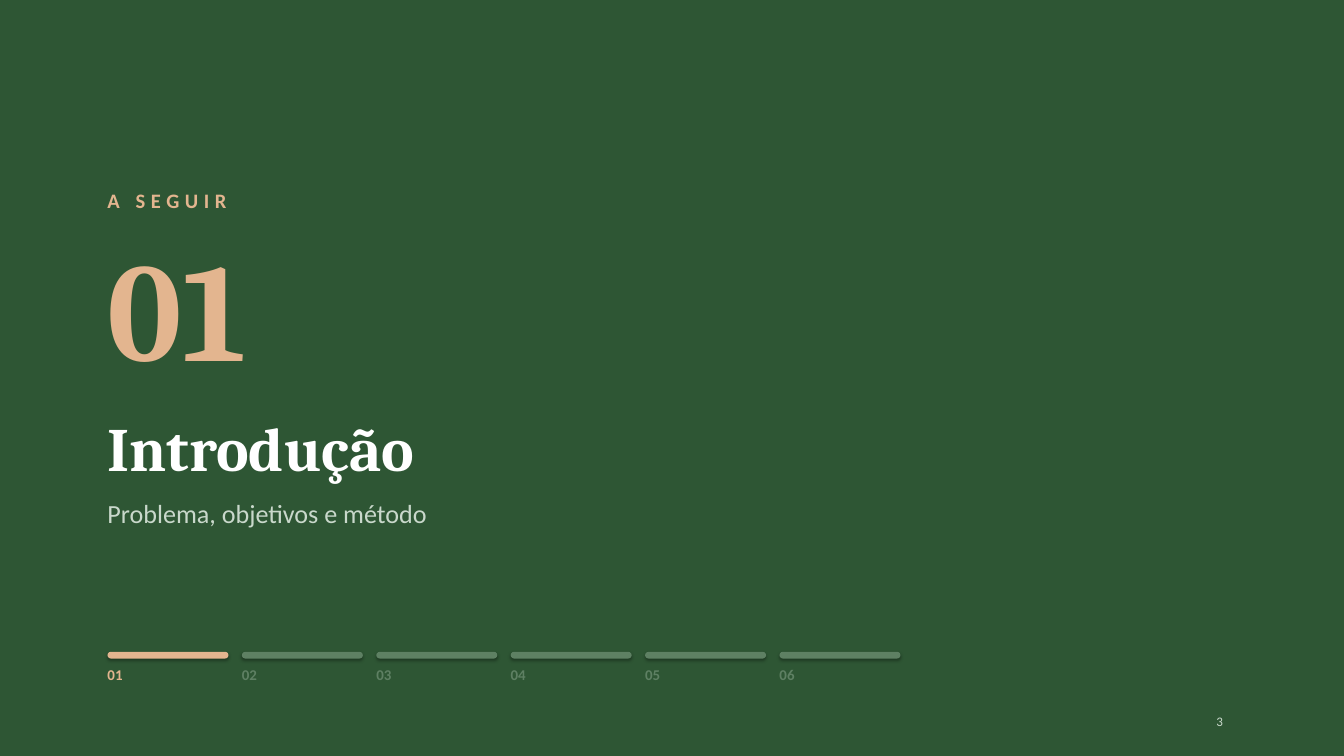
from pptx import Presentation
from pptx.dml.color import RGBColor
from pptx.enum.shapes import MSO_SHAPE
from pptx.enum.text import MSO_AUTO_SIZE
from pptx.util import Emu, Pt

PX = 9144  # 100 px to the inch
GREEN, PEACH, WHITE = "2E5634", "E3B58F", "FFFFFF"
PALE, MUTED = "C9D8CB", "5E8063"
LEFT = 160


def paint(color_format, value):
    color_format.rgb = RGBColor.from_string(value)


def add_text(text, bounds, size, color, font="Calibri", bold=False):
    """Add a one-line text box without margins and return its run."""
    box = page.shapes.add_textbox(*(Emu(value * PX) for value in bounds))
    frame = box.text_frame
    settings = {"margin_left": 0, "margin_top": 0, "margin_right": 0, "margin_bottom": 0,
                "word_wrap": True, "auto_size": MSO_AUTO_SIZE.SHAPE_TO_FIT_TEXT}
    for name, value in settings.items():
        setattr(frame, name, value)
    span = frame.paragraphs[0].add_run()
    span.text = text
    for name, value in {"name": font, "size": Pt(size), "bold": bold}.items():
        setattr(span.font, name, value)
    paint(span.font.color, color)
    return span


deck = Presentation()
deck.slide_width, deck.slide_height = Emu(2000 * PX), Emu(1125 * PX)
page = deck.slides.add_slide(deck.slide_layouts[6])
page.background.fill.solid()
paint(page.background.fill.fore_color, GREEN)

# Section heading
kicker = add_text("A SEGUIR", (LEFT, 280, 1000, 55), 22, PEACH, bold=True)
kicker.font._element.set("spc", "600")
add_text("01", (LEFT, 330, 700, 262), 150, PEACH, "Cambria", True)
add_text("Introdução", (LEFT, 610, 1700, 120), 66, WHITE, "Cambria", True)
add_text("Problema, objetivos e método", (LEFT, 740, 1700, 66), 28, PALE)

# Progress bar; the segments keep the theme's soft shadow
current, sections = 1, 6
segment_width, pitch = 180, 200
for number in range(1, sections + 1):
    left = LEFT + (number - 1) * pitch
    color = PEACH if number == current else MUTED
    segment = page.shapes.add_shape(
        MSO_SHAPE.ROUNDED_RECTANGLE,
        *(Emu(value * PX) for value in (left, 970, segment_width, 10)))
    segment.adjustments[0] = 0.5
    segment.fill.solid()
    paint(segment.fill.fore_color, color)
    segment.line.fill.background()
    add_text(f"{number:02d}", (left, 990, segment_width, 44), 16, color, bold=True)

# Page number
add_text("3", (1810, 1061, 80, 38), 14, PALE)

deck.save("out.pptx")
